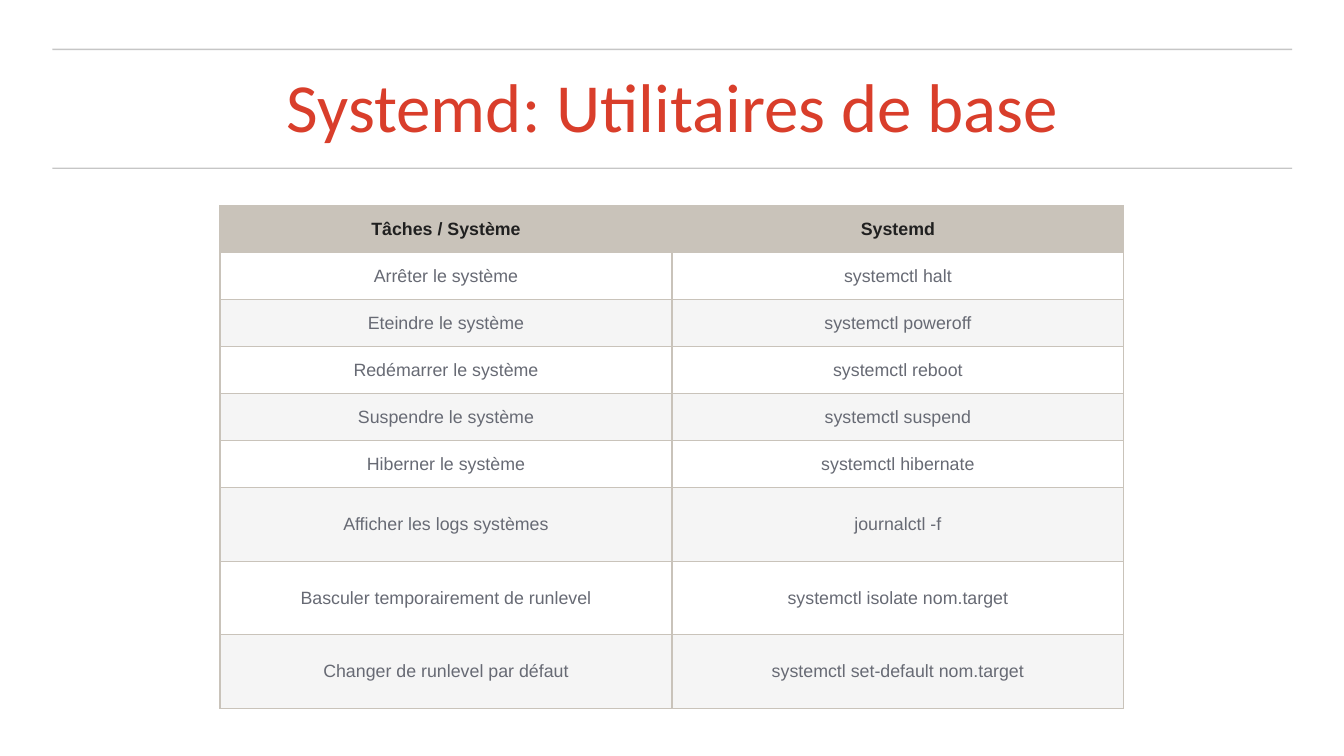
from dataclasses import dataclass

from lxml.etree import SubElement
from pptx import Presentation
from pptx.dml.color import RGBColor
from pptx.enum.shapes import MSO_CONNECTOR
from pptx.enum.text import MSO_ANCHOR, MSO_AUTO_SIZE, PP_ALIGN
from pptx.oxml.ns import qn
from pptx.slide import Slide
from pptx.table import _Cell as Cell
from pptx.text.text import TextFrame
from pptx.util import Pt

COLORS = {
    "title": "D93E2B",
    "rule": "444444",
    "header_text": "202020",
    "body_text": "676A74",
    "border": "C9C3BA",
    "header": "C9C3BA",
    "odd": "FFFFFF",
    "even": "F5F5F5",
}
MARGIN_LEFT = 37.5
CONTENT_WIDTH = 885.5
RULE_TOPS = (35.3, 120.2)
RULE_OPACITY = 29
TABLE_LEFT, TABLE_TOP = 157.2, 146.9
COLUMN_WIDTH = 322.8
SHORT_ROW, TALL_ROW = 33.6, 52.5
CELL_MARGIN = 5.8
TITLE_MARGIN = 4.3


@dataclass(frozen=True)
class TextStyle:
    font: str
    size: float
    color: str
    bold: bool = False


@dataclass(frozen=True)
class TaskRow:
    task: str
    command: str
    height: float = SHORT_ROW


TITLE_STYLE = TextStyle("Calibri", 49.2, "title")
HEADER_STYLE = TextStyle("Arial", 12.7, "header_text", True)
BODY_STYLE = TextStyle("Arial", 12.7, "body_text")

ROWS = (
    TaskRow("Tâches / Système", "Systemd"),
    TaskRow("Arrêter le système", "systemctl halt"),
    TaskRow("Eteindre le système", "systemctl poweroff"),
    TaskRow("Redémarrer le système", "systemctl reboot"),
    TaskRow("Suspendre le système", "systemctl suspend"),
    TaskRow("Hiberner le système", "systemctl hibernate"),
    TaskRow("Afficher les logs systèmes", "journalctl -f", TALL_ROW),
    TaskRow("Basculer temporairement de runlevel", "systemctl isolate nom.target", TALL_ROW),
    TaskRow("Changer de runlevel par défaut", "systemctl set-default nom.target", TALL_ROW),
)


def rgb(name: str) -> RGBColor:
    return RGBColor.from_string(COLORS[name])


def write_centered(frame: TextFrame, text: str, style: TextStyle) -> None:
    paragraph = frame.paragraphs[0]
    paragraph.alignment = PP_ALIGN.CENTER
    run = paragraph.add_run()
    run.text = text
    run.font.name = style.font
    run.font.size = Pt(style.size)
    run.font.bold = style.bold
    run.font.color.rgb = rgb(style.color)


def add_rule(slide: Slide, top: float) -> None:
    rule = slide.shapes.add_connector(
        MSO_CONNECTOR.STRAIGHT,
        Pt(MARGIN_LEFT), Pt(top), Pt(MARGIN_LEFT + CONTENT_WIDTH), Pt(top),
    )
    rule.line.width = Pt(1)
    rule.line.color.rgb = rgb("rule")
    properties = rule._element.spPr
    color = properties.find(".//" + qn("a:srgbClr"))
    SubElement(color, qn("a:alpha"), val=str(RULE_OPACITY * 1000))
    SubElement(properties, qn("a:effectLst"))


def format_title(slide: Slide, text: str) -> None:
    title = slide.shapes.title
    title.left, title.top = Pt(MARGIN_LEFT), Pt(44.6)
    title.width, title.height = Pt(CONTENT_WIDTH), Pt(67.7)
    frame = title.text_frame
    frame.word_wrap = True
    frame.auto_size = MSO_AUTO_SIZE.NONE
    frame.vertical_anchor = MSO_ANCHOR.MIDDLE
    frame.margin_left = frame.margin_right = Pt(TITLE_MARGIN)
    frame.margin_top = frame.margin_bottom = Pt(TITLE_MARGIN)
    write_centered(frame, text, TITLE_STYLE)
    frame.paragraphs[0].line_spacing = 0.9


def add_borders(cell: Cell) -> None:
    properties = cell._tc.get_or_add_tcPr()
    for side in ("lnL", "lnR", "lnT", "lnB"):
        border = SubElement(properties, qn(f"a:{side}"), w=str(Pt(1)))
        fill = SubElement(border, qn("a:solidFill"))
        SubElement(fill, qn("a:srgbClr"), val=COLORS["border"])


def format_cell(cell: Cell, text: str, style: TextStyle, fill: str) -> None:
    cell.margin_left = cell.margin_right = Pt(CELL_MARGIN)
    cell.margin_top = cell.margin_bottom = Pt(CELL_MARGIN)
    cell.vertical_anchor = MSO_ANCHOR.MIDDLE
    add_borders(cell)
    cell.fill.solid()
    cell.fill.fore_color.rgb = rgb(fill)
    write_centered(cell.text_frame, text, style)


def add_task_table(slide: Slide, rows: tuple[TaskRow, ...]) -> None:
    table = slide.shapes.add_table(
        len(rows), 2, Pt(TABLE_LEFT), Pt(TABLE_TOP),
        Pt(2 * COLUMN_WIDTH), Pt(sum(row.height for row in rows)),
    ).table
    table.horz_banding = False
    for column in table.columns:
        column.width = Pt(COLUMN_WIDTH)
    for index, row in enumerate(rows):
        table.rows[index].height = Pt(row.height)
        style = BODY_STYLE if index else HEADER_STYLE
        fill = ("even", "odd")[index % 2] if index else "header"
        for column_index, text in enumerate((row.task, row.command)):
            format_cell(table.cell(index, column_index), text, style, fill)


def main() -> None:
    presentation = Presentation()
    presentation.slide_width, presentation.slide_height = Pt(960), Pt(540)
    slide = presentation.slides.add_slide(presentation.slide_layouts.get_by_name("Title Only"))
    for top in RULE_TOPS:
        add_rule(slide, top)
    add_task_table(slide, ROWS)
    format_title(slide, "Systemd: Utilitaires de base")
    presentation.save("out.pptx")


if __name__ == "__main__":
    main()
